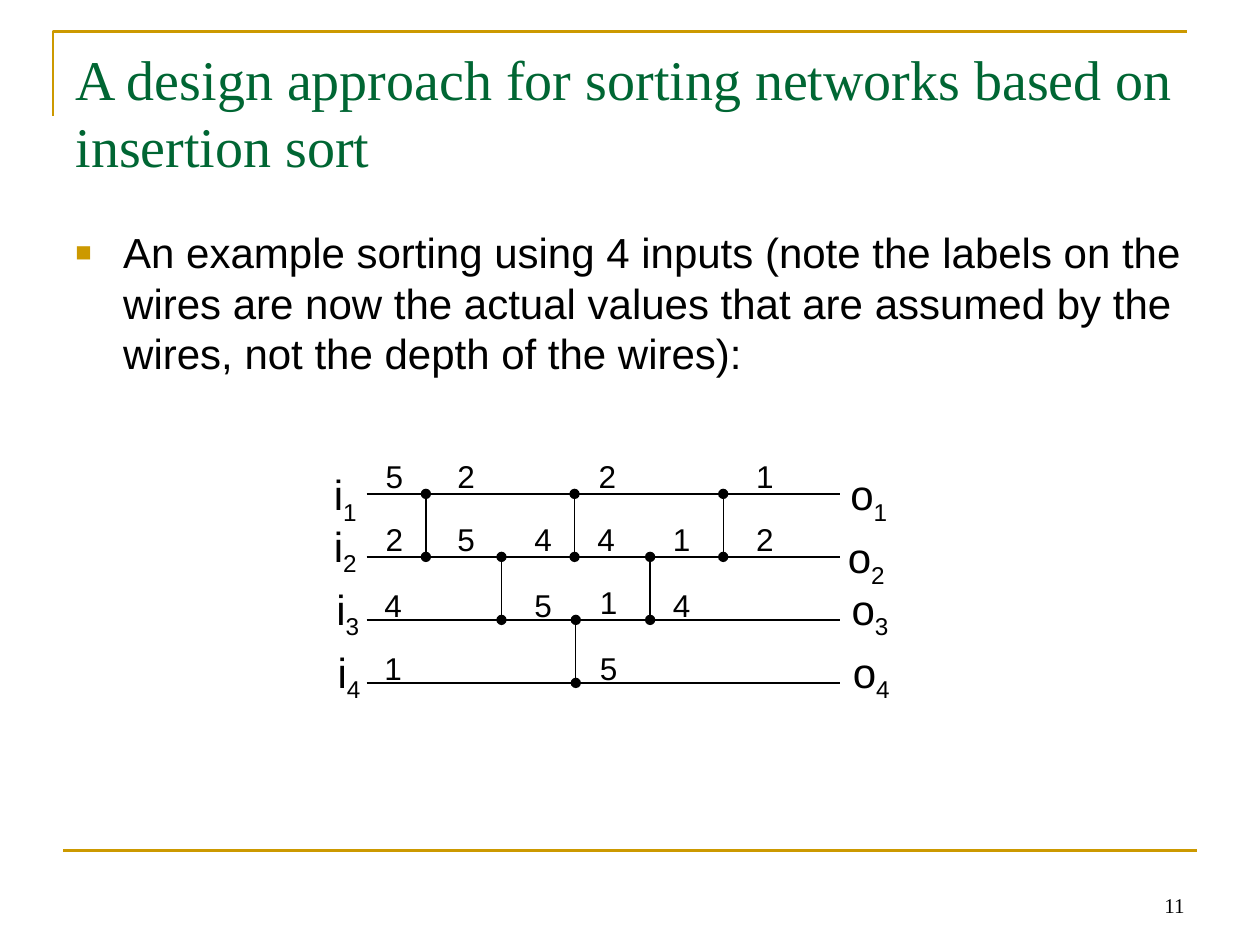
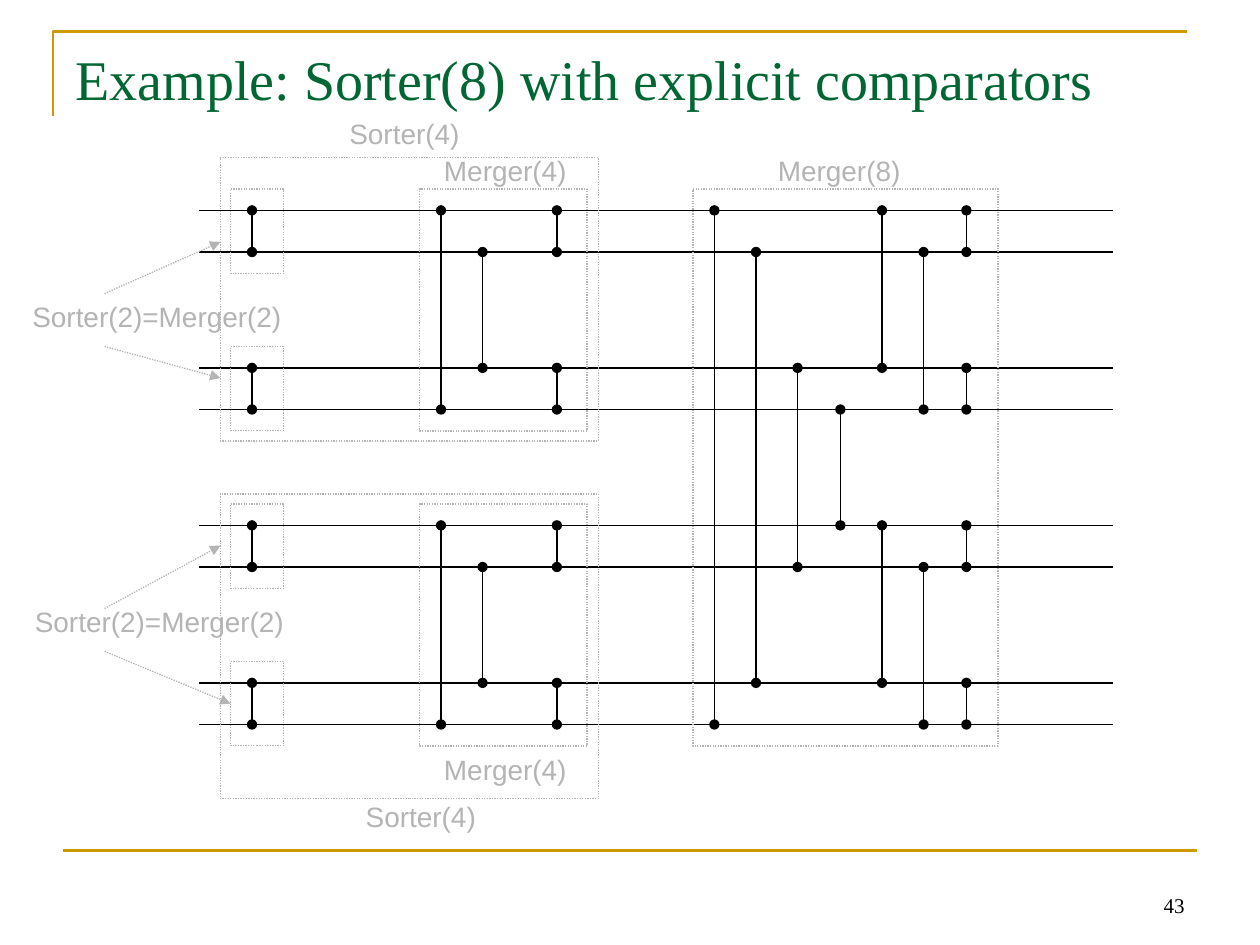
"""Build two slides on sorting networks and their comparators."""
from lxml import etree
from pptx import Presentation
from pptx import util as u
from pptx.dml.color import RGBColor
from pptx.enum import dml, shapes, text
from pptx.oxml import ns

GOLD = RGBColor(0xCC, 0x99, 0x00)
GREEN = RGBColor(0x00, 0x66, 0x33)
BLACK = RGBColor(0x00, 0x00, 0x00)
GREY = RGBColor(0xB4, 0xB4, 0xB4)
SANS = "Arial"
SERIF = "Times New Roman"
TITLE_ONLY = 5


def inches(*lengths):
    """Turn several numbers into lengths."""
    return [u.Inches(length) for length in lengths]


def add_element(parent, tag, **attributes):
    """Append a drawing element with the given attributes."""
    return etree.SubElement(parent, ns.qn(tag), **attributes)


def style_line(line, colour, width=0.75, dotted=False):
    """Set the colour, width and dash of a line."""
    line.color.rgb = colour
    line.width = u.Pt(width)
    if dotted:
        line.dash_style = dml.MSO_LINE.ROUND_DOT


def add_line(page, start, end, colour=BLACK, width=0.75, dotted=False, head=None, tail=None):
    """Draw a straight connector with optional end marks."""
    line = page.shapes.add_connector(shapes.MSO_CONNECTOR.STRAIGHT, *inches(*start, *end))
    style_line(line.line, colour, width, dotted)
    properties = line.line._get_or_add_ln()
    for tag, mark in (("a:headEnd", head), ("a:tailEnd", tail)):
        if mark:
            add_element(properties, tag, type=mark)
    add_element(line._element.spPr, "a:effectLst")
    return line


def write(frame, words, size=16, font=SANS, colour=BLACK, align=text.PP_ALIGN.CENTER,
          anchor=text.MSO_ANCHOR.TOP, wrap=False, subscript=None):
    """Fill a text frame with one formatted paragraph."""
    frame.word_wrap = wrap
    frame.vertical_anchor = anchor
    para = frame.paragraphs[0]
    para.alignment = align
    for part, lowered in ((words, False), (subscript, True)):
        if part:
            span = para.add_run()
            span.text = part
            span.font.size = u.Pt(size)
            span.font.name = font
            span.font.color.rgb = colour
            if lowered:
                span.font._element.set("baseline", "-25000")
    return para


def add_text(page, place, words, **style):
    """Add a text box at a place and return its paragraph."""
    box = page.shapes.add_textbox(*inches(*place))
    return write(box.text_frame, words, **style)


def add_bullet(page, place, words):
    """Add a paragraph with a gold square bullet."""
    para = add_text(page, place, words, size=24, align=text.PP_ALIGN.LEFT, wrap=True)
    properties = para._p.get_or_add_pPr()
    indent = u.Inches(0.38)
    properties.set("marL", str(indent))
    properties.set("indent", str(-indent))
    colour = add_element(properties, "a:buClr")
    add_element(colour, "a:srgbClr", val=str(GOLD))
    add_element(properties, "a:buSzPct", val="65000")
    add_element(properties, "a:buFont", typeface=SANS)
    add_element(properties, "a:buChar", char="■")


def add_page(deck, title, number):
    """Add a slide with its title, gold rules and page number."""
    page = deck.slides.add_slide(deck.slide_layouts[TITLE_ONLY])
    builder = page.shapes.build_freeform(*inches(0.42, 0.92))
    builder.add_line_segments([inches(0.42, 0.25), inches(9.42, 0.25)], close=False)
    corner = builder.convert_to_shape()
    corner.shadow.inherit = False
    corner.fill.background()
    style_line(corner.line, GOLD, 1.5)
    add_line(page, (0.5, 6.75), (9.5, 6.75), GOLD, 1.5)
    add_text(page, (7.17, 6.83, 2.33, 0.5), str(number), size=12, font=SERIF,
             align=text.PP_ALIGN.RIGHT, anchor=text.MSO_ANCHOR.BOTTOM, wrap=True)
    heading = page.shapes.title
    heading.left, heading.top, heading.width, heading.height = inches(0.5, 0.3, 9, 1.25)
    write(heading.text_frame, title, size=32, font=SERIF, colour=GREEN,
          align=text.PP_ALIGN.LEFT, wrap=True)
    heading.text_frame.auto_size = text.MSO_AUTO_SIZE.NONE
    return page


def add_comparator(page, x, top, bottom):
    """Join two wires with a vertical line that has dots at its ends."""
    add_line(page, (x, top), (x, bottom), head="oval", tail="oval")


def add_group(page, *place):
    """Outline a part of the network with a dotted rectangle."""
    box = page.shapes.add_shape(shapes.MSO_SHAPE.RECTANGLE, *inches(*place))
    box.shadow.inherit = False
    box.fill.background()
    style_line(box.line, GREY, dotted=True)
    return box


def build_insertion_page(deck):
    """Show four values passing through an insertion sort network."""
    page = add_page(deck, "A design approach for sorting networks based on insertion sort", 11)
    add_bullet(page, (0.5, 1.75, 9, 1.5),
               "An example sorting using 4 inputs (note the labels on the wires are now "
               "the actual values that are assumed by the wires, not the depth of the wires):")
    wires = [3.92 + 0.5 * row for row in range(4)]
    for y in wires:
        add_line(page, (2.91, y), (6.67, y))
    for x, upper in ((3.38, 0), (3.98, 1), (4.56, 0), (4.57, 2), (5.16, 1), (5.74, 0)):
        add_comparator(page, x, wires[upper], wires[upper + 1])

    ends = {"i": (0.4, [(2.54, 3.67), (2.54, 4.08), (2.56, 4.58), (2.57, 5.08)]),
            "o": (0.51, [(6.64, 3.67), (6.62, 4.17), (6.65, 4.58), (6.66, 5.08)])}
    for letter, (width, places) in ends.items():
        for index, place in enumerate(places, start=1):
            add_text(page, (*place, width, 0.5), letter, size=24, subscript=str(index))

    value_rows = [
        (3.58, {2.96: "5", 3.53: "2", 4.65: "2", 5.9: "1"}),
        (4.08, {2.96: "2", 3.53: "5", 4.14: "4", 4.64: "4", 5.24: "1", 5.9: "2"}),
        (4.6, {2.95: "4", 4.14: "5", 5.24: "4"}),
        (4.58, {4.66: "1"}),
        (5.1, {2.95: "1", 4.66: "5"}),
    ]
    for y, values in value_rows:
        for x, value in values.items():
            add_text(page, (x, y, 0.34, 0.4), value, size=18)


def build_sorter_page(deck):
    """Show the eight-input sorter with its comparators and named parts."""
    page = add_page(deck, "Example: Sorter(8) with explicit comparators", 43)
    wires = [1.67 + 1.25 * pair + 0.33 * low for pair in range(4) for low in range(2)]
    for y in wires:
        add_line(page, (1.58, y), (8.83, y))

    neighbours = [(0, 1), (2, 3), (4, 5), (6, 7)]
    stages = {2: neighbours, 3.5: [(0, 3), (4, 7)], 3.83: [(1, 2), (5, 6)], 4.42: neighbours,
              5.67: [(0, 7)], 6: [(1, 6)], 6.33: [(2, 5)], 6.67: [(3, 4)],
              7: [(0, 2), (4, 6)], 7.33: [(1, 3), (5, 7)], 7.67: neighbours}
    for x, pairs in stages.items():
        for upper, lower in pairs:
            add_comparator(page, x, wires[upper], wires[lower])

    small_sorters = [add_group(page, 1.83, 1.5 + 1.25 * row, 0.42, 0.67) for row in range(4)]
    for y in (1.5, 4):
        add_group(page, 3.33, y, 1.33, 1.92)
    add_group(page, 5.5, 1.5, 2.42, 4.42)
    add_group(page, 1.75, 1.25, 3, 2.25)
    add_group(page, 1.75, 3.92, 3, 2.42)

    arrows = [((0.83, 2.33), (1.75, 1.92)), ((0.83, 2.75), (1.75, 3)),
              ((0.83, 4.83), (1.75, 4.33)), ((0.83, 5.17), (1.83, 5.58))]
    pointers = [add_line(page, start, end, GREY, dotted=True, tail="triangle")
                for start, end in arrows]
    pointers[-1].end_connect(small_sorters[-1], 1)

    labels = [("Sorter(2)=Merger(2)", 0.15, 2.33, 2.19), ("Sorter(2)=Merger(2)", 0.17, 4.75, 2.19),
              ("Merger(4)", 3.42, 1.17, 1.18), ("Merger(4)", 3.42, 5.92, 1.18),
              ("Merger(8)", 6.07, 1.17, 1.18),
              ("Sorter(4)", 2.67, 0.88, 1.08), ("Sorter(4)", 2.8, 6.3, 1.08)]
    for words, x, y, width in labels:
        add_text(page, (x, y, width, 0.37), words, colour=GREY)


def main():
    """Build and save the deck."""
    deck = Presentation()
    deck.slide_width, deck.slide_height = inches(10, 7.5)
    build_insertion_page(deck)
    build_sorter_page(deck)
    deck.save("out.pptx")


if __name__ == "__main__":
    main()
